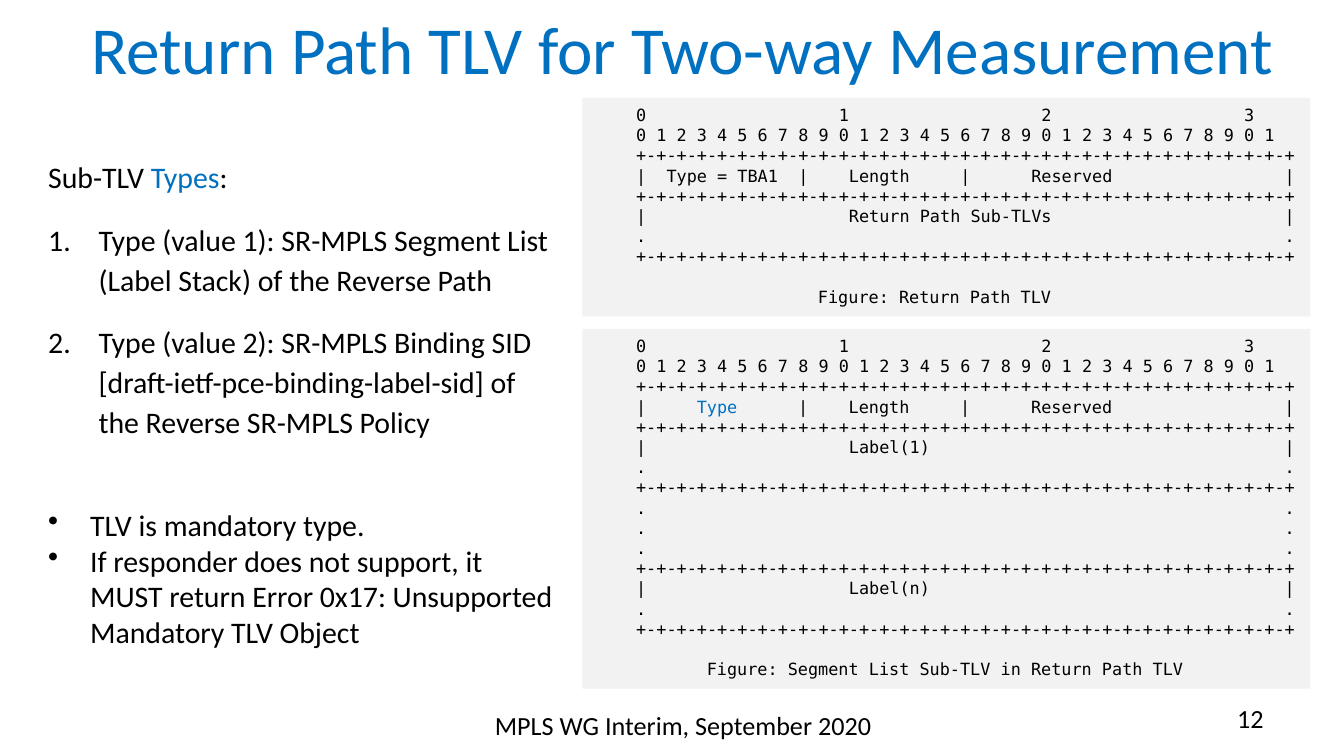
from lxml import etree
from pptx import Presentation, util as u
from pptx.dml.color import RGBColor
from pptx.enum import shapes, text
from pptx.oxml.ns import qn

PX = 9525
HUES = {"ink": "000000", "blue": "0070C0", "panel": "F2F2F2"}
SANS, MONO = "Calibri", "DejaVu Sans Mono"
CELL = 7.22  # width of one 9 pt mono character, in px
LEFT, RIGHT, MID = text.PP_ALIGN.LEFT, text.PP_ALIGN.RIGHT, text.PP_ALIGN.CENTER

PAD = " " * 4
RULE = PAD + "+-" * 32 + "+"
DOTS = PAD + "." + " " * 63 + "."
SCALE = [
    PAD + (" " * 19).join("0123"),
    PAD + " ".join(str(i % 10) for i in range(32)),
    RULE,
]
FIELDS = "|    Length     |      Reserved                 |"


def emu(*sizes):
    return [u.Emu(round(s * PX)) for s in sizes]


def color(name):
    return RGBColor.from_string(HUES[name])


def wide(label):
    """A row with one field across all 32 bits."""
    return PAD + "|" + (" " * 20 + label).ljust(63) + "|"


def add_box(slide, box):
    frame = slide.shapes.add_textbox(*emu(*box)).text_frame
    frame.word_wrap = True
    return frame


def add_para(frame, runs, size, font=SANS, align=LEFT):
    """Add a paragraph; runs is a string or a list of (string, colour)."""
    first = frame.paragraphs[0]
    para = frame.add_paragraph() if first.runs else first
    para.alignment = align
    if isinstance(runs, str):
        runs = [(runs, "ink")]
    for words, hue in runs:
        run = para.add_run()
        run.text = words
        run.font.size = u.Pt(size)
        run.font.name = font
        run.font.color.rgb = color(hue)
    return para


def set_mark(para, indent, tag, **attrs):
    """Give a paragraph a hanging bullet or number."""
    props = para._p.get_or_add_pPr()
    props.set("marL", str(indent * PX))
    props.set("indent", str(-indent * PX))
    etree.SubElement(props, qn(tag), attrs)


def add_line(slide, box, runs, size, align):
    frame = add_box(slide, box)
    frame.vertical_anchor = text.MSO_ANCHOR.TOP
    add_para(frame, runs, size, align=align)
    return frame


def add_types(slide, box):
    frame = add_box(slide, box)
    paras = [add_para(frame, [("Sub-TLV ", "ink"), ("Types", "blue"), (":", "ink")], 16)]
    for item in (
        "Type (value 1): SR-MPLS Segment List (Label Stack) of the Reverse Path",
        "Type (value 2): SR-MPLS Binding SID [draft-ietf-pce-binding-label-sid] of the Reverse SR-MPLS Policy",
    ):
        para = add_para(frame, item, 16)
        set_mark(para, 36, "a:buAutoNum", type="arabicPeriod")
        para.space_before = u.Pt(6)
        paras.append(para)
    for para in paras:
        para.line_spacing = u.Pt(21.4)
        para.space_after = u.Pt(6)


def add_notes(slide, box):
    frame = add_box(slide, box)
    for item in (
        "TLV is mandatory type.",
        "If responder does not support, it MUST return Error 0x17: Unsupported Mandatory TLV Object",
    ):
        set_mark(add_para(frame, item, 16), 30, "a:buChar", char="•")


def add_panel(slide, box, rows, title, shift):
    """Draw a packet layout; its title starts shift characters in."""
    panel = slide.shapes.add_shape(shapes.MSO_SHAPE.RECTANGLE, *emu(*box))
    panel.shadow.inherit = False
    panel.fill.solid()
    panel.fill.fore_color.rgb = color("panel")
    panel.line.fill.background()
    frame = panel.text_frame
    frame.word_wrap = True
    frame.vertical_anchor = text.MSO_ANCHOR.TOP
    for row in SCALE + rows:
        add_para(frame, row, 9, MONO)
    para = add_para(frame, title, 9, MONO)
    para.space_before = u.Pt(10.8)
    props = para._p.get_or_add_pPr()
    props.set("marL", str(round(shift * CELL * PX)))
    props.set("indent", "0")


def main():
    deck = Presentation()
    deck.slide_width, deck.slide_height = emu(960, 540)
    slide = deck.slides.add_slide(deck.slide_layouts[6])

    add_line(slide, (336, 502, 304, 37), "MPLS WG Interim, September 2020", 14, MID)
    add_line(slide, (688, 497, 224, 37), "12", 14, RIGHT)
    title = [("Return Path TLV for Two-way Measurement", "blue")]
    head = add_line(slide, (47, -11, 881, 90), title, 36, MID)
    head.vertical_anchor = text.MSO_ANCHOR.MIDDLE

    add_types(slide, (25, 106, 385, 210))
    add_notes(slide, (25, 357, 385, 113))

    path = [PAD + "|  Type = TBA1  " + FIELDS, RULE,
            wide("Return Path Sub-TLVs"), DOTS, RULE]
    add_panel(slide, (416, 70, 520, 156), path, "Figure: Return Path TLV", 22)

    kind = [(PAD + "|     ", "ink"), ("Type", "blue"), ("      " + FIELDS, "ink")]
    stack = [kind, RULE, wide("Label(1)"), DOTS, RULE, *[DOTS] * 3, RULE,
             wide("Label(n)"), DOTS, RULE]
    add_panel(slide, (416, 235, 520, 257), stack,
              "Figure: Segment List Sub-TLV in Return Path TLV", 11)

    deck.save("out.pptx")


if __name__ == "__main__":
    main()
